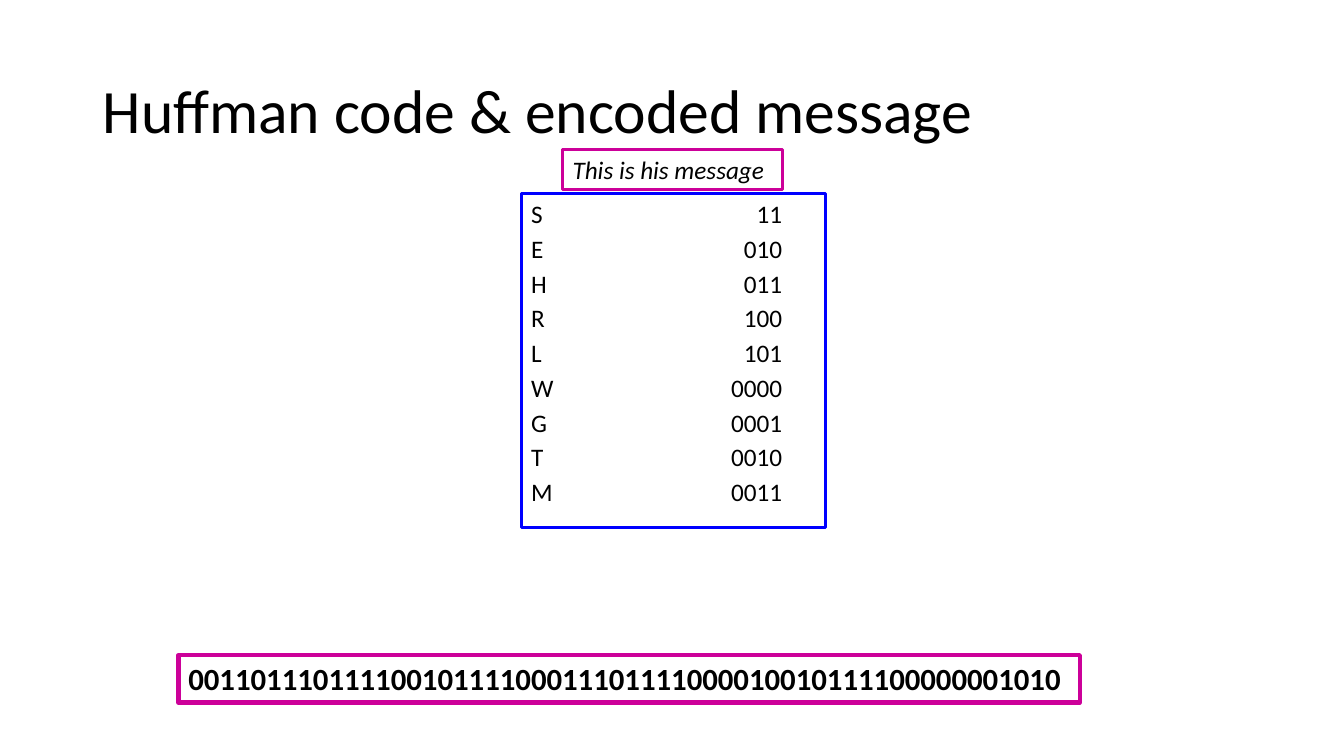
from pptx import Presentation
from pptx.dml.color import RGBColor
from pptx.enum.shapes import MSO_SHAPE
from pptx.enum.text import MSO_ANCHOR, PP_ALIGN
from pptx.oxml.ns import qn
from pptx.util import Inches, Pt
from lxml import etree

RECTANGLE = MSO_SHAPE.RECTANGLE
TOP, MIDDLE = MSO_ANCHOR.TOP, MSO_ANCHOR.MIDDLE
LEFT = PP_ALIGN.LEFT

# Content
TITLE = "Huffman code & encoded message"
CODES = {
    "S": "11", "E": "010", "H": "011", "R": "100", "L": "101",
    "W": "0000", "G": "0001", "T": "0010", "M": "0011",
}
MESSAGE = "This is his message"
ENCODED = "00110111011110010111100011101111000010010111100000001010"

# Style
FONT = "Calibri"
BLACK, BLUE, MAGENTA = "000000", "0000FF", "CC0099"
CODE_COLUMN = 2.49  # right edge of the codes, from the text's left edge


def color(hex_value):
    return RGBColor.from_string(hex_value)


def write(frame, lines, size, anchor=TOP, bold=False, italic=False):
    frame.word_wrap = True
    frame.vertical_anchor = anchor
    for index, line in enumerate(lines):
        paragraph = frame.paragraphs[0] if index == 0 else frame.add_paragraph()
        paragraph.alignment = LEFT
        run = paragraph.add_run()
        run.text = line
        font = run.font
        font.name, font.size = FONT, Pt(size)
        font.bold, font.italic = bold, italic
        font.color.rgb = color(BLACK)


def add_frame(box, lines, size, outline, width, **style):
    frame = slide.shapes.add_shape(RECTANGLE, *map(Inches, box))
    frame.shadow.inherit = False
    frame.fill.background()
    frame.line.color.rgb = color(outline)
    frame.line.width = Pt(width)
    write(frame.text_frame, lines, size, **style)
    return frame


def add_right_tab(paragraph, position):
    tabs = etree.SubElement(paragraph._p.get_or_add_pPr(), qn("a:tabLst"))
    etree.SubElement(tabs, qn("a:tab"), pos=str(Inches(position)), algn="r")


prs = Presentation()
prs.slide_width, prs.slide_height = Inches(13.33), Inches(7.5)
slide = prs.slides.add_slide(prs.slide_layouts[6])

# Title
title = slide.shapes.add_textbox(*map(Inches, (0.92, 0.4, 11.5, 1.45)))
write(title.text_frame, [TITLE], 44, anchor=MIDDLE)
title.text_frame.paragraphs[0].line_spacing = 0.9

# Code list: letter on the left, code against a right tab
code_lines = [f"{letter}\t{code}" for letter, code in CODES.items()]
code_list = add_frame((5.17, 1.92, 3.02, 3.31), code_lines, 18, BLUE, 2.25)
for row in code_list.text_frame.paragraphs:
    row.space_before = Pt(3.2)
    add_right_tab(row, CODE_COLUMN)

# Message and its encoding
add_frame((5.58, 1.48, 2.18, 0.4), [MESSAGE], 18, MAGENTA, 2.25, italic=True)
add_frame((1.77, 6.5, 8.94, 0.47), [ENCODED], 22, MAGENTA, 3, bold=True)

prs.save("out.pptx")
